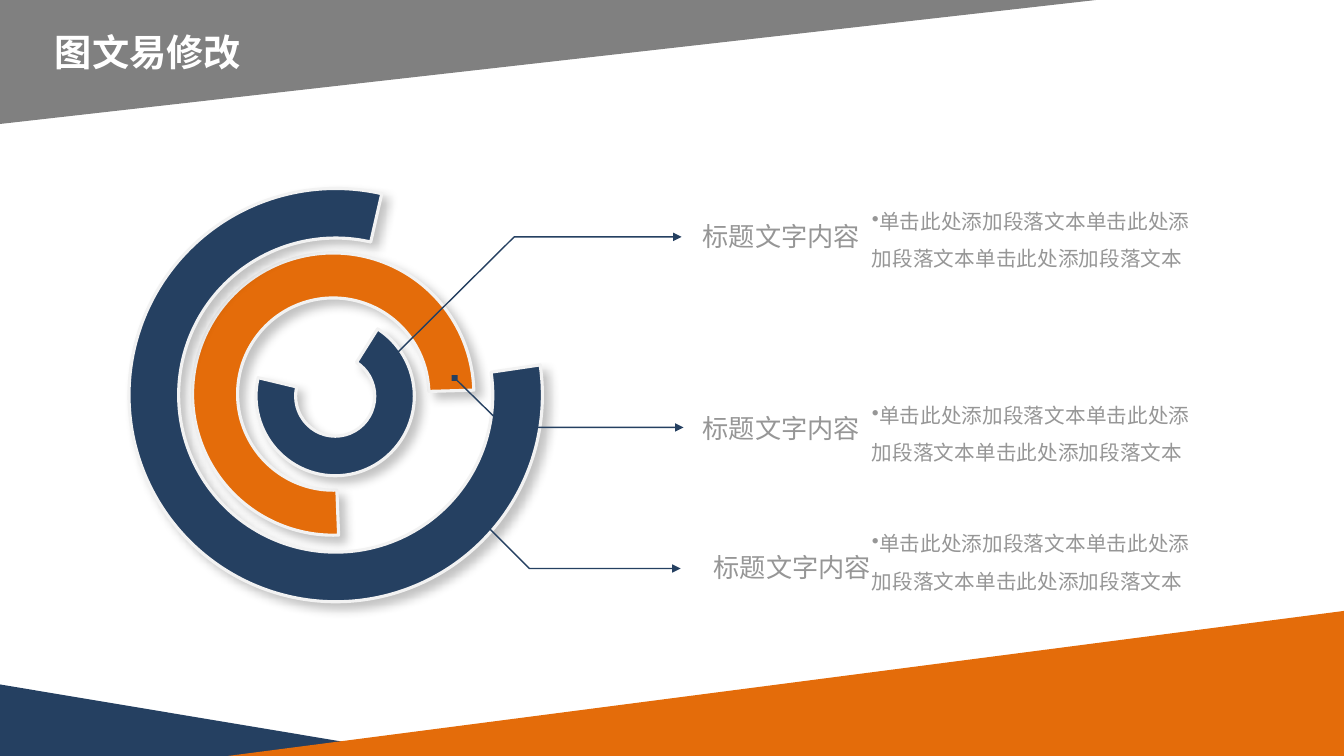
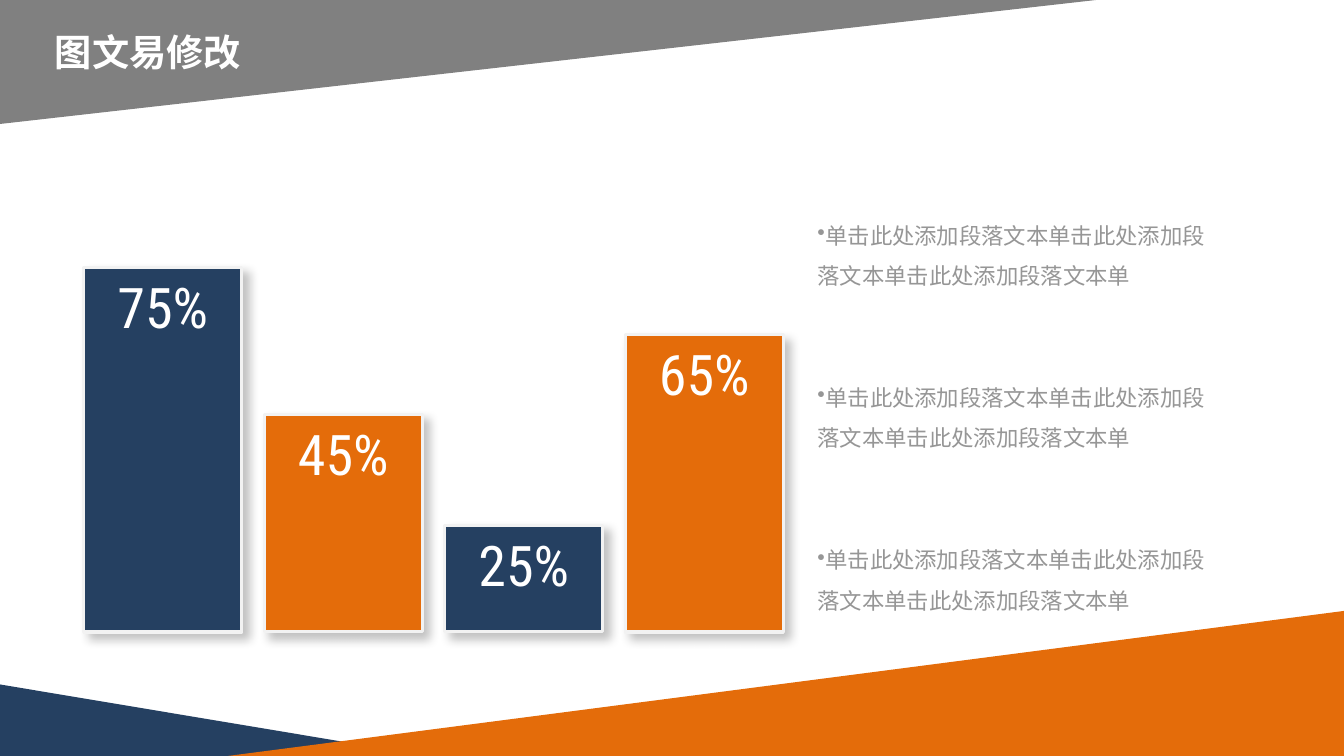
"""Build two slides: a ring diagram with callouts and a row of percentage bars."""
from lxml.etree import SubElement
from pptx import Presentation
from pptx.dml.color import RGBColor
from pptx.enum.shapes import MSO_SHAPE
from pptx.enum.text import MSO_ANCHOR, PP_ALIGN
from pptx.oxml.ns import qn
from pptx.util import Inches, Pt

NAVY, ORANGE, GRAY = "254061", "E46C0A", "808080"
WHITE, PALE, TEXT = "FFFFFF", "F2F2F2", "969696"
HAN, LATIN = "Noto Sans CJK SC", "Roboto Condensed"
BODY = "单击此处添加段落文本" * 3


def paint(fill, color):
    fill.solid()
    fill.fore_color.rgb = RGBColor.from_string(color)


def write(shape, text, size=16, font=HAN, color=TEXT, bold=False,
          align=PP_ALIGN.CENTER, anchor=MSO_ANCHOR.TOP, bullet=False):
    frame = shape.text_frame
    frame.word_wrap = True
    frame.vertical_anchor = anchor
    para = frame.paragraphs[0]
    para.alignment = align
    if bullet:
        para.line_spacing = 1.5
        props = para._p.get_or_add_pPr()
        props.set("marL", "0")
        props.set("indent", "0")
        SubElement(props, qn("a:buChar"), char="•")
    run = para.add_run()
    run.text = text
    run.font.size = Pt(size)
    run.font.bold = bold
    run.font.name = font
    paint(run.font.fill, color)
    SubElement(run._r.get_or_add_rPr(), qn("a:ea"), typeface=HAN)


deck = Presentation()
deck.slide_width, deck.slide_height = Inches(13.33), Inches(7.5)
layout = deck.slide_layouts[5]
rings, bars = [deck.slides.add_slide(layout) for _ in range(2)]

bands = [
    ((0, 6.79, 4.25, 0.71), NAVY, False, 0),
    ((2.26, 6.06, 11.08, 1.44), ORANGE, True, 0),
    ((0, 0, 10.87, 1.23), GRAY, True, 180),
]
tree = layout.element.cSld.spTree
for spot, (area, color, flip, turn) in enumerate(bands, 2):
    band = rings.shapes.add_shape(MSO_SHAPE.RIGHT_TRIANGLE, *map(Inches, area))
    band.shadow.inherit = False
    band.rotation = turn
    paint(band.fill, color)
    band.line.fill.background()
    if flip:
        band.element.spPr.find(qn("a:xfrm")).set("flipH", "1")
    tree.insert(spot, band.element)

for slide in (rings, bars):
    title = slide.shapes.title
    title.left, title.top, title.width, title.height = map(Inches, (0, 0.29, 2.94, 0.45))
    frame = title.text_frame
    frame.margin_left = frame.margin_right = frame.margin_top = frame.margin_bottom = 0
    write(title, "图文易修改", size=26.6, color=WHITE, bold=True, anchor=MSO_ANCHOR.MIDDLE)

blocks = []
arcs = [
    ((1.91, 2.51, 2.79, 2.8), ORANGE, 87.81, 358.41, 0.16),
    ((1.28, 1.87, 4.1, 4.1), NAVY, 351.6, 282.88, 0.12),
    ((2.54, 3.14, 1.57, 1.58), NAVY, 302.25, 193.47, 0.25),
]
for area, color, start, end, thick in arcs:
    arc = rings.shapes.add_shape(MSO_SHAPE.BLOCK_ARC, *map(Inches, area))
    for spot, value in enumerate((start * 0.6, end * 0.6, thick)):
        arc.adjustments[spot] = value
    blocks.append((arc, color))

calls = [
    ([(3.88, 3.56), (5.1, 2.35), (6.76, 2.35)], 2.14, 1.98, 1.9),
    ([(4.51, 3.75), (5.01, 4.24), (6.78, 4.24)], 4.04, 1.98, 3.83),
    ([(4.73, 5.12), (5.25, 5.64), (6.75, 5.64)], 5.42, 2.2, 5.1),
]
for points, top, width, low in calls:
    first, *rest = [tuple(map(Inches, point)) for point in points]
    pen = rings.shapes.build_freeform(*first)
    pen.add_line_segments(rest, close=False)
    arrow = pen.convert_to_shape()
    arrow.shadow.inherit = False
    arrow.fill.background()
    paint(arrow.line.fill, NAVY)
    arrow.line.width = Pt(1)
    stroke = arrow.element.spPr.find(qn("a:ln"))
    SubElement(stroke, qn("a:headEnd"), type="diamond")
    SubElement(stroke, qn("a:tailEnd"), type="triangle")
    label = rings.shapes.add_textbox(*map(Inches, (6.76, top, width, 0.42)))
    write(label, "标题文字内容", size=18.7, font=LATIN)
    note = rings.shapes.add_textbox(*map(Inches, (8.55, low, 3.49, 0.84)))
    write(note, BODY, size=14.7, align=PP_ALIGN.LEFT, bullet=True)

columns = [("75%", 3.62, NAVY), ("45%", 2.16, ORANGE), ("25%", 1.06, NAVY), ("65%", 2.95, ORANGE)]
for spot, (text, height, color) in enumerate(columns):
    area = (0.83 + 1.79 * spot, 6.27 - height, 1.57, height)
    bar = bars.shapes.add_shape(MSO_SHAPE.RECTANGLE, *map(Inches, area))
    write(bar, text, size=40, font=LATIN, color=WHITE)
    blocks.append((bar, color))

for spot in range(3):
    note = bars.shapes.add_textbox(*map(Inches, (8.01, 2.02 + 1.61 * spot, 4.07, 0.91)))
    write(note, BODY + "单", align=PP_ALIGN.LEFT, bullet=True)

for block, color in blocks:
    paint(block.fill, color)
    paint(block.line.fill, PALE)
    block.line.width = Pt(2.25)
    block.shadow.inherit = False
    glow = SubElement(block.element.spPr.find(qn("a:effectLst")), qn("a:outerShdw"),
                      blurRad=str(Pt(7)), dist=str(Pt(5.9)), dir="2700000",
                      algn="tl", rotWithShape="0")
    shade = SubElement(glow, qn("a:srgbClr"), val="000000")
    SubElement(shade, qn("a:alpha"), val="23000")

deck.save("out.pptx")
